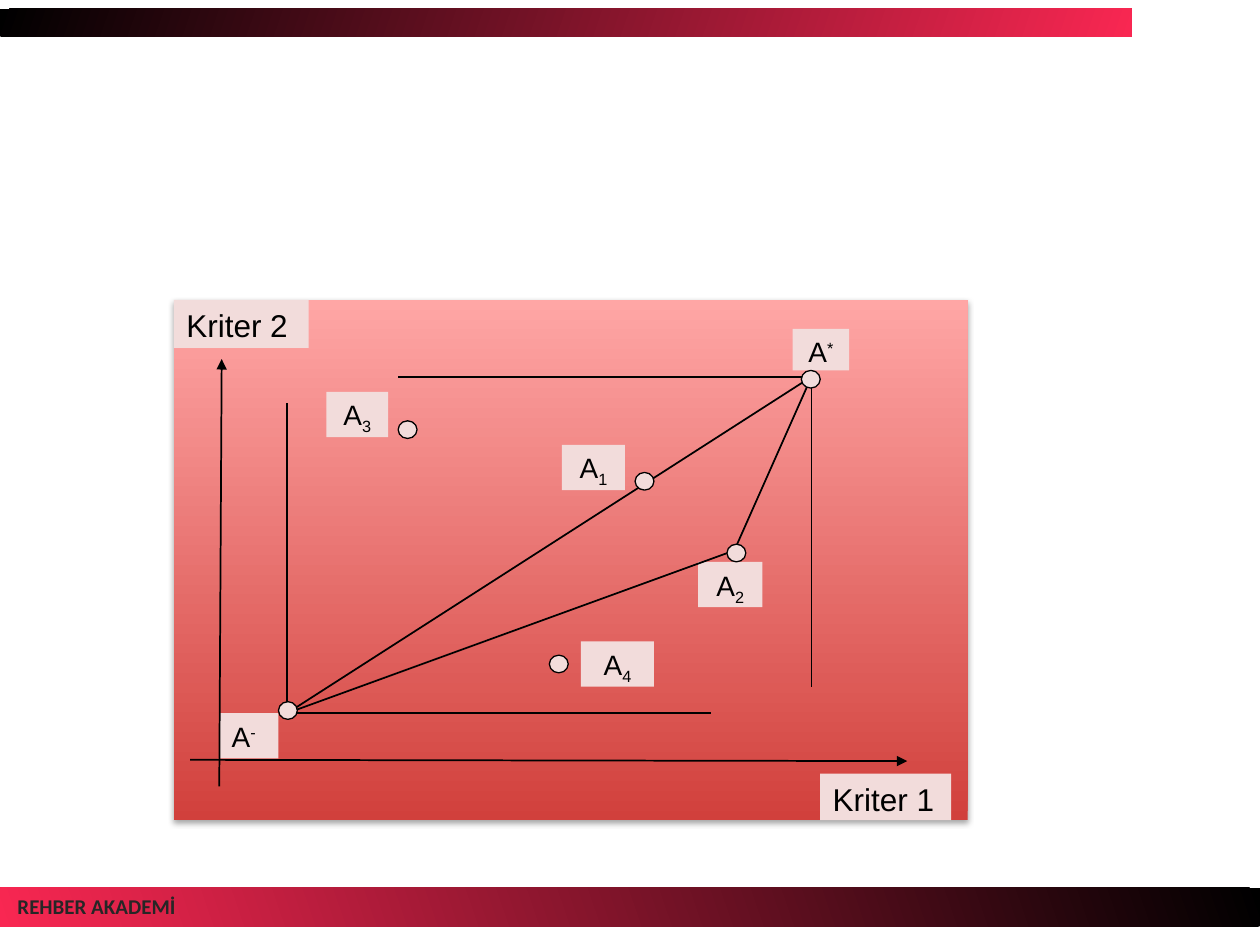
from dataclasses import dataclass

from lxml.etree import SubElement
from pptx import Presentation
from pptx.dml.color import RGBColor
from pptx.enum.shapes import MSO_CONNECTOR, MSO_SHAPE
from pptx.enum.text import MSO_ANCHOR, PP_ALIGN
from pptx.oxml.ns import qn
from pptx.util import Pt

COLORS = {
    "black": "000000",
    "crimson": "F92752",
    "footer": "262626",
    "panel_dark": "D1403C",
    "panel_light": "FFA6A5",
    "pale": "F2DCDB",
}
DOT_WIDTH, DOT_HEIGHT = 10.8, 10.1


@dataclass
class GradientBox:
    left: float
    top: float
    width: float
    height: float
    start: str
    end: str
    angle: float  # counter-clockwise


@dataclass
class Label:
    left: float
    top: float
    width: float
    text: str
    index: str = ""
    baseline: int = 0  # thousandths of a percent
    height: float = 25.9
    size: float = 16
    align: PP_ALIGN = PP_ALIGN.CENTER


@dataclass
class Line:
    start: tuple[float, float]
    end: tuple[float, float]
    arrow: bool = False


SUBSCRIPT, SUPERSCRIPT = -25000, 30000
JUSTIFY = PP_ALIGN.JUSTIFY

BARS = [
    GradientBox(0, 507.3, 720, 22, "black", "crimson", 199),
    GradientBox(0, 5, 646.6, 15.8, "black", "crimson", 341),
]
PANEL = GradientBox(99.4, 171.4, 453.6, 297.4, "panel_dark", "panel_light", 90)

LABELS = [
    Label(125.3, 407.5, 33.8, "A", "-", SUPERSCRIPT, align=JUSTIFY),
    Label(398.9, 321.1, 36.7, "A", "2", SUBSCRIPT),
    Label(452.9, 187.9, 32.4, "A", "*", SUPERSCRIPT, height=23.8),
    Label(321.1, 254.2, 36, "A", "1", SUBSCRIPT),
    Label(186.5, 223.9, 35.3, "A", "3", SUBSCRIPT),
    Label(331.9, 366.5, 41.8, "A", "4", SUBSCRIPT),
    Label(468.7, 442.1, 74.9, "Kriter 1", height=26.6, size=18, align=JUSTIFY),
    Label(99.4, 171.4, 77, "Kriter 2", height=27.4, size=18, align=JUSTIFY),
]

WORST, BEST = (164.2, 407.5), (463.7, 215.3)
LINES = [
    # Axes
    Line((125.3, 449.3), (126.7, 205.2), arrow=True),
    Line((108.7, 434.2), (518.4, 434.9), arrow=True),
    # Guides through the worst and best points
    Line(WORST, (WORST[0], 230.4)),
    Line((169.9, WORST[1]), (406.1, WORST[1])),
    Line(BEST, (BEST[0], 392.4)),
    Line(BEST, (227.5, BEST[1])),
    # Distances
    Line(WORST, BEST),
    Line(WORST, (415.4, 316.1)),
    Line((421.2, 311), BEST),
]

# Left and top of each alternative: A3, A2, A4, A1, A*, A-
DOTS = [(227.5, 240.5), (415.4, 311), (313.9, 374.4),
        (362.9, 270), (457.9, 211.7), (159.1, 401)]


def color(name: str) -> RGBColor:
    return RGBColor.from_string(COLORS[name])


def add_shape(slide, kind, left: float, top: float, width: float, height: float):
    shape = slide.shapes.add_shape(kind, Pt(left), Pt(top), Pt(width), Pt(height))
    shape.shadow.inherit = False
    shape.line.fill.background()
    return shape


def add_gradient_box(slide, box: GradientBox):
    shape = add_shape(slide, MSO_SHAPE.RECTANGLE, box.left, box.top, box.width, box.height)
    shape.fill.gradient()
    shape.fill.gradient_angle = box.angle
    for stop, position, name in zip(shape.fill.gradient_stops, (0, 1), (box.start, box.end)):
        stop.position = position
        stop.color.rgb = color(name)
    return shape


def add_shadow(shape) -> None:
    effects = shape._element.spPr.find(qn("a:effectLst"))
    shadow = SubElement(effects, qn("a:outerShdw"), blurRad=str(Pt(3.1)),
                        dist=str(Pt(1.8)), dir="5400000", rotWithShape="0")
    shade = SubElement(shadow, qn("a:srgbClr"), val=COLORS["black"])
    SubElement(shade, qn("a:alpha"), val="35000")


def add_label(slide, label: Label) -> None:
    shape = add_shape(slide, MSO_SHAPE.RECTANGLE, label.left, label.top,
                      label.width, label.height)
    shape.fill.solid()
    shape.fill.fore_color.rgb = color("pale")
    shape.text_frame.vertical_anchor = MSO_ANCHOR.TOP
    paragraph = shape.text_frame.paragraphs[0]
    paragraph.alignment = label.align
    paragraph.font.size = Pt(label.size)
    paragraph.font.name = "Arial"
    paragraph.font.color.rgb = color("black")
    paragraph.add_run().text = label.text
    if label.index:
        run = paragraph.add_run()
        run.text = label.index
        run.font._element.set("baseline", str(label.baseline))


def add_line(slide, line: Line) -> None:
    points = [Pt(value) for value in (*line.start, *line.end)]
    connector = slide.shapes.add_connector(MSO_CONNECTOR.STRAIGHT, *points)
    connector.line.width = Pt(1)
    connector.line.color.rgb = color("black")
    if line.arrow:
        SubElement(connector.line._get_or_add_ln(), qn("a:tailEnd"), type="triangle")
    SubElement(connector._element.spPr, qn("a:effectLst"))


def add_dot(slide, left: float, top: float) -> None:
    dot = add_shape(slide, MSO_SHAPE.OVAL, left, top, DOT_WIDTH, DOT_HEIGHT)
    dot.fill.solid()
    dot.fill.fore_color.rgb = color("pale")
    dot.line.color.rgb = color("black")
    dot.line.width = Pt(0.75)


def add_footer(slide) -> None:
    box = slide.shapes.add_textbox(Pt(2.9), Pt(506.9), Pt(111.6), Pt(21.6))
    box.text_frame.word_wrap = False
    paragraph = box.text_frame.paragraphs[0]
    paragraph.text = "REHBER AKADEMİ"
    paragraph.font.size = Pt(12)
    paragraph.font.name = "Calibri"
    paragraph.font.bold = True
    paragraph.font.color.rgb = color("footer")


def main() -> None:
    presentation = Presentation()
    presentation.slide_width, presentation.slide_height = Pt(720), Pt(540)
    slide = presentation.slides.add_slide(presentation.slide_layouts[6])

    # Header and footer bars
    for bar in BARS:
        add_gradient_box(slide, bar)
    add_footer(slide)

    # Diagram
    add_shadow(add_gradient_box(slide, PANEL))
    for label in LABELS:
        add_label(slide, label)
    for line in LINES:
        add_line(slide, line)
    for left, top in DOTS:
        add_dot(slide, left, top)

    presentation.save("out.pptx")


if __name__ == "__main__":
    main()
